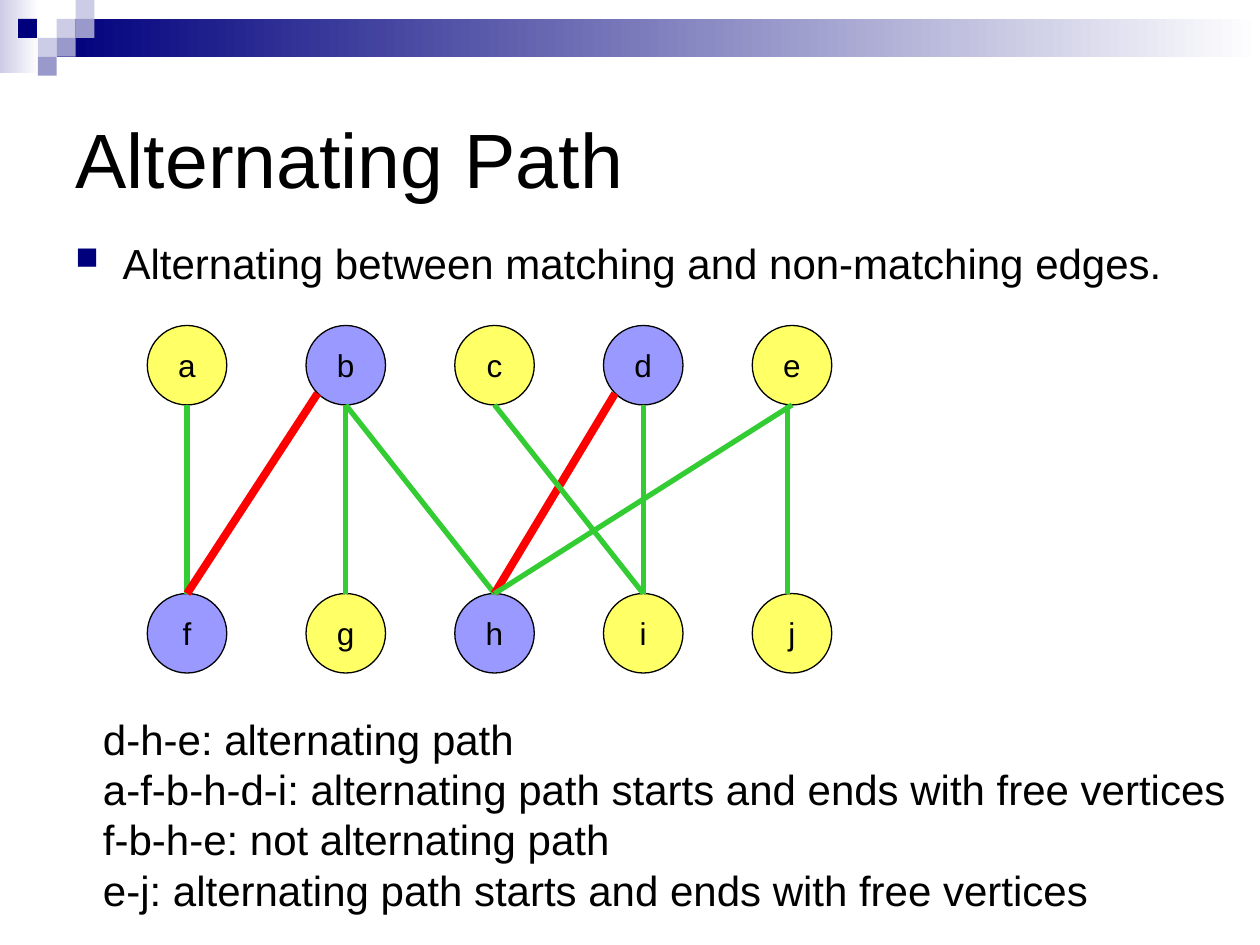
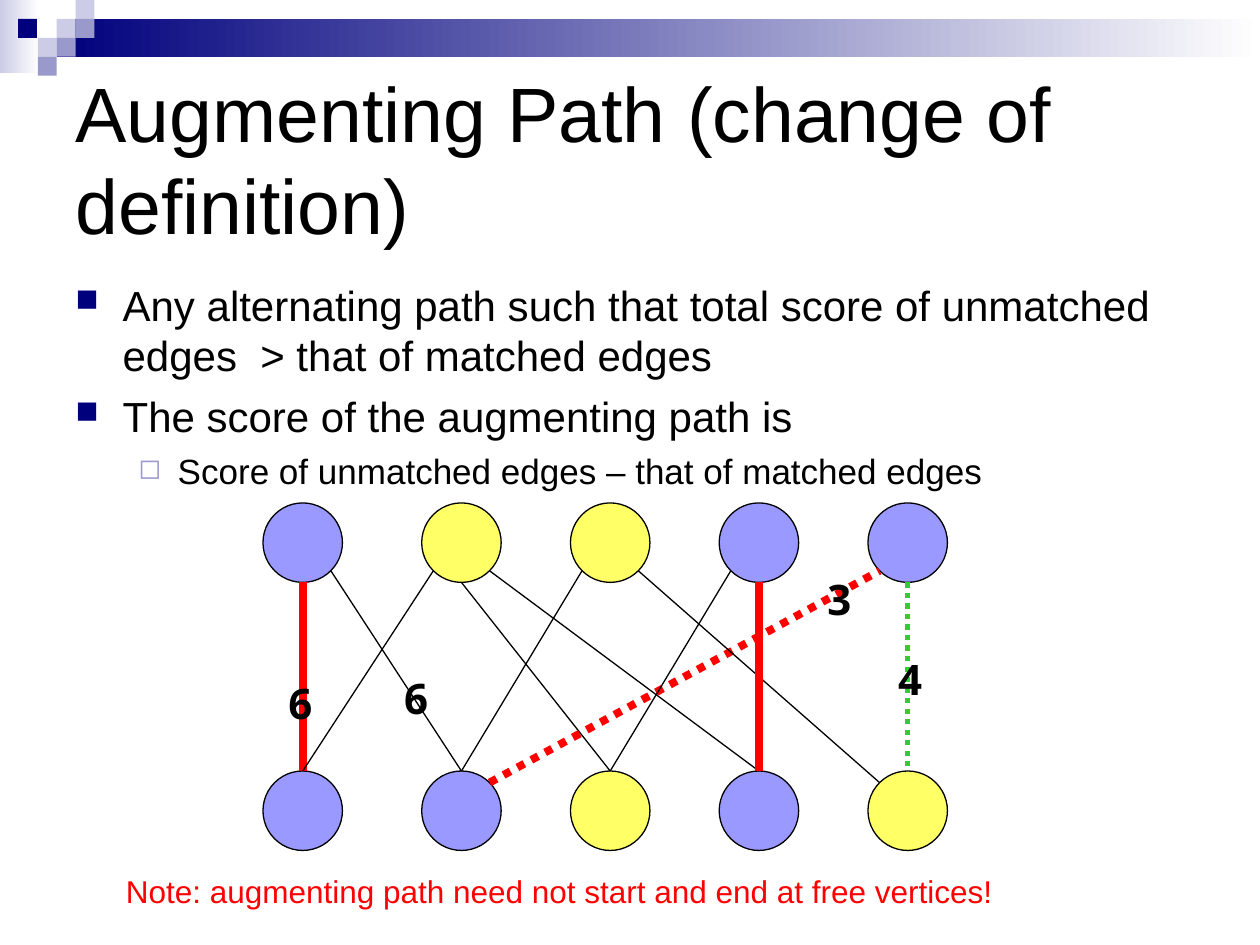
from dataclasses import dataclass
from lxml.etree import SubElement
from pptx import Presentation
from pptx.dml.color import RGBColor
from pptx.enum.dml import MSO_LINE
from pptx.enum.shapes import MSO_CONNECTOR, MSO_SHAPE
from pptx.enum.text import MSO_ANCHOR, MSO_AUTO_SIZE, PP_ALIGN
from pptx.oxml.ns import qn
from pptx.util import Pt


@dataclass(frozen=True)
class Theme:
    ink: str = "000000"
    navy: str = "00007D"
    pale: str = "CCCCE6"
    mid: str = "9999CC"
    white: str = "FFFFFF"
    free: str = "FFFF66"
    used: str = "9999FF"
    red: str = "FF0000"
    green: str = "33CC33"
    font: str = "Arial"
    score: str = "Noto Sans"
    head: int = 44
    body: int = 24
    sub: int = 20
    small: int = 18


T = Theme()

FADES = [(0, 0, 22.3, 41.8, T.pale), (32.4, 10.8, 687.6, 21.6, T.navy)]
TILE = 10.8
TILES = [
    (32.4, 10.8, T.pale), (43.2, 0, T.pale), (43.2, 10.8, T.mid),
    (21.6, 21.6, T.pale), (10.3, 10.8, T.navy), (32.4, 21.6, T.mid),
    (21.6, 32.4, T.mid),
]

LEVELS = [
    dict(size=T.body, left=27, hang=22.5, gap=6, mark="■", tint=T.navy, pct=75),
    dict(size=T.sub, left=58.5, hang=22.5, gap=5, mark="◻", tint=T.mid, pct=80),
]
LEVELS[0]["hang"] = LEVELS[0]["left"]

LINES = {
    "plain": (T.ink, 0.75, None),
    "match": (T.red, 4.5, None),
    "open": (T.green, 3, None),
    "match dot": (T.red, 4.5, MSO_LINE.ROUND_DOT),
    "open dot": (T.green, 3, MSO_LINE.ROUND_DOT),
}

DIAM = 45.4
DROP = 153.2
COLS = [0] + [90.7 + 85 * i for i in range(4)]
ROWS = ["abcde", "fghij"]
DIAG = 0.71
PORTS = {
    "N": (0, -1), "S": (0, 1),
    "NW": (-DIAG, -DIAG), "NE": (DIAG, -DIAG),
    "SW": (-DIAG, DIAG), "SE": (DIAG, DIAG),
    "N-": (-0.11, -1), "S-": (-0.11, 1),
}

SLIDES = [
    dict(
        title="Alternating Path",
        top=132,
        points=[(0, "Alternating between matching and non-matching edges.")],
        start=(84.2, 186),
        used="bdfh",
        names=True,
        edges=[
            ("a", "S", "f", "N", "open"), ("b", "S", "h", "N", "open"),
            ("b", "SW", "f", "N", "match"), ("d", "SW", "h", "N", "match"),
            ("e", "S-", "j", "N-", "open"), ("d", "S", "i", "N", "open"),
            ("b", "S", "g", "N", "open"), ("c", "S", "i", "N", "open"),
            ("h", "N", "e", "S", "open"),
        ],
        scores=[],
        notes=(51.8, 404, 656, 122, T.body, T.ink, [
            "d-h-e: alternating path",
            "a-f-b-h-d-i: alternating path starts and ends with free vertices",
            "f-b-h-e: not alternating path",
            "e-j: alternating path starts and ends with free vertices",
        ]),
    ),
    dict(
        title="Augmenting Path (change of definition)",
        top=156,
        points=[
            (0, "Any alternating path such that total score of unmatched edges  > that of matched edges"),
            (0, "The score of the augmenting path is"),
            (1, "Score of unmatched edges – that of matched edges"),
        ],
        start=(150.3, 287.4),
        used="adefgi",
        names=False,
        edges=[
            ("a", "SE", "g", "N", "plain"), ("a", "S", "f", "N", "match"),
            ("b", "SE", "i", "N", "plain"), ("b", "S", "h", "N", "plain"),
            ("b", "SW", "f", "N", "plain"), ("g", "NE", "e", "SW", "match dot"),
            ("e", "S", "j", "N", "open dot"), ("c", "SE", "j", "NW", "plain"),
            ("d", "SW", "h", "N", "plain"), ("d", "S", "i", "N", "match"),
            ("c", "SW", "g", "N", "plain"),
        ],
        scores=[("4", 506.2, 370.1), ("6", 157.7, 383.8),
                ("6", 223.9, 380.9), ("3", 465.8, 324)],
        notes=(64.8, 494.6, 514.8, 29, T.small, T.red, [
            "Note: augmenting path need not start and end at free vertices!",
        ]),
    ),
]


def rgb(tint):
    return RGBColor.from_string(tint)


def pts(*nums):
    return [Pt(n) for n in nums]


def write(para, text, size, tint=T.ink, font=T.font, bold=False):
    run = para.add_run()
    run.text = text
    run.font.size = Pt(size)
    run.font.name = font
    run.font.bold = bold
    run.font.color.rgb = rgb(tint)


def paras(frame, items):
    for i, item in enumerate(items):
        yield (frame.add_paragraph() if i else frame.paragraphs[0]), item


def label(slide, box, lines, size, **look):
    frame = slide.shapes.add_textbox(*pts(*box)).text_frame
    frame.word_wrap = False
    frame.auto_size = MSO_AUTO_SIZE.SHAPE_TO_FIT_TEXT
    for para, line in paras(frame, lines):
        write(para, line, size, **look)


def solid(slide, kind, box, tint):
    shape = slide.shapes.add_shape(kind, *pts(*box))
    shape.shadow.inherit = False
    shape.fill.solid()
    shape.fill.fore_color.rgb = rgb(tint)
    shape.line.fill.background()
    return shape


def brand(slide, master):
    parts = []
    for *box, tint in FADES:
        part = solid(slide, MSO_SHAPE.RECTANGLE, box, tint)
        part.fill.gradient()
        part.fill.gradient_angle = 0
        for stop, hue in zip(part.fill.gradient_stops, (tint, T.white)):
            stop.color.rgb = rgb(hue)
        parts.append(part)
    for x, y, tint in TILES:
        parts.append(solid(slide, MSO_SHAPE.RECTANGLE, (x, y, TILE, TILE), tint))
    for i, part in enumerate(parts):
        master.shapes.element.insert(2 + i, part.element)


def head(slide, text):
    title = slide.shapes.title
    title.left, title.top, title.width, title.height = pts(36, 36, 648, 108)
    frame = title.text_frame
    frame.word_wrap = True
    frame.auto_size = MSO_AUTO_SIZE.NONE
    frame.vertical_anchor = MSO_ANCHOR.MIDDLE
    para = frame.paragraphs[0]
    para.alignment = PP_ALIGN.LEFT
    write(para, text, T.head)


def bullet(para, look):
    para.space_before = Pt(look["gap"])
    props = para._p.get_or_add_pPr()
    props.set("marL", str(Pt(look["left"])))
    props.set("indent", str(-Pt(look["hang"])))
    hue = SubElement(props, qn("a:buClr"))
    SubElement(hue, qn("a:srgbClr"), val=look["tint"])
    SubElement(props, qn("a:buSzPct"), val=str(look["pct"] * 1000))
    SubElement(props, qn("a:buChar"), char=look["mark"])


def points(slide, top, items):
    frame = slide.shapes.add_textbox(*pts(36, top, 648, 306)).text_frame
    frame.word_wrap = True
    for para, (level, text) in paras(frame, items):
        look = LEVELS[level]
        para.level = level
        bullet(para, look)
        write(para, text, look["size"])


def graph(slide, start, used, names, edges):
    left, top = start
    spots = {}
    for r, row in enumerate(ROWS):
        for name, col in zip(row, COLS):
            x, y = left + col, top + r * DROP
            spots[name] = (x + DIAM / 2, y + DIAM / 2)
            tint = T.used if name in used else T.free
            node = solid(slide, MSO_SHAPE.OVAL, (x, y, DIAM, DIAM), tint)
            node.line.color.rgb = rgb(T.ink)
            node.line.width = Pt(0.75)
            if names:
                frame = node.text_frame
                frame.word_wrap = False
                frame.vertical_anchor = MSO_ANCHOR.MIDDLE
                frame.paragraphs[0].alignment = PP_ALIGN.CENTER
                write(frame.paragraphs[0], name, T.small)

    def port(name, side):
        return [c + d * DIAM / 2 for c, d in zip(spots[name], PORTS[side])]

    for tail, out, tip, into, kind in edges:
        ends = pts(*port(tail, out), *port(tip, into))
        edge = slide.shapes.add_connector(MSO_CONNECTOR.STRAIGHT, *ends)
        tint, width, dash = LINES[kind]
        edge.line.color.rgb = rgb(tint)
        edge.line.width = Pt(width)
        if dash:
            edge.line.dash_style = dash
        SubElement(edge.element.spPr, qn("a:effectLst"))


def main():
    deck = Presentation()
    deck.slide_width, deck.slide_height = pts(720, 540)
    for i, data in enumerate(SLIDES):
        slide = deck.slides.add_slide(deck.slide_layouts[5])
        if i == 0:
            brand(slide, deck.slide_master)
        head(slide, data["title"])
        points(slide, data["top"], data["points"])
        graph(slide, data["start"], data["used"], data["names"], data["edges"])
        for text, x, y in data["scores"]:
            label(slide, (x, y, 28, 36), [text], T.body, font=T.score, bold=True)
        *box, size, tint, lines = data["notes"]
        label(slide, box, lines, size, tint=tint)
    deck.save("out.pptx")


if __name__ == "__main__":
    main()
